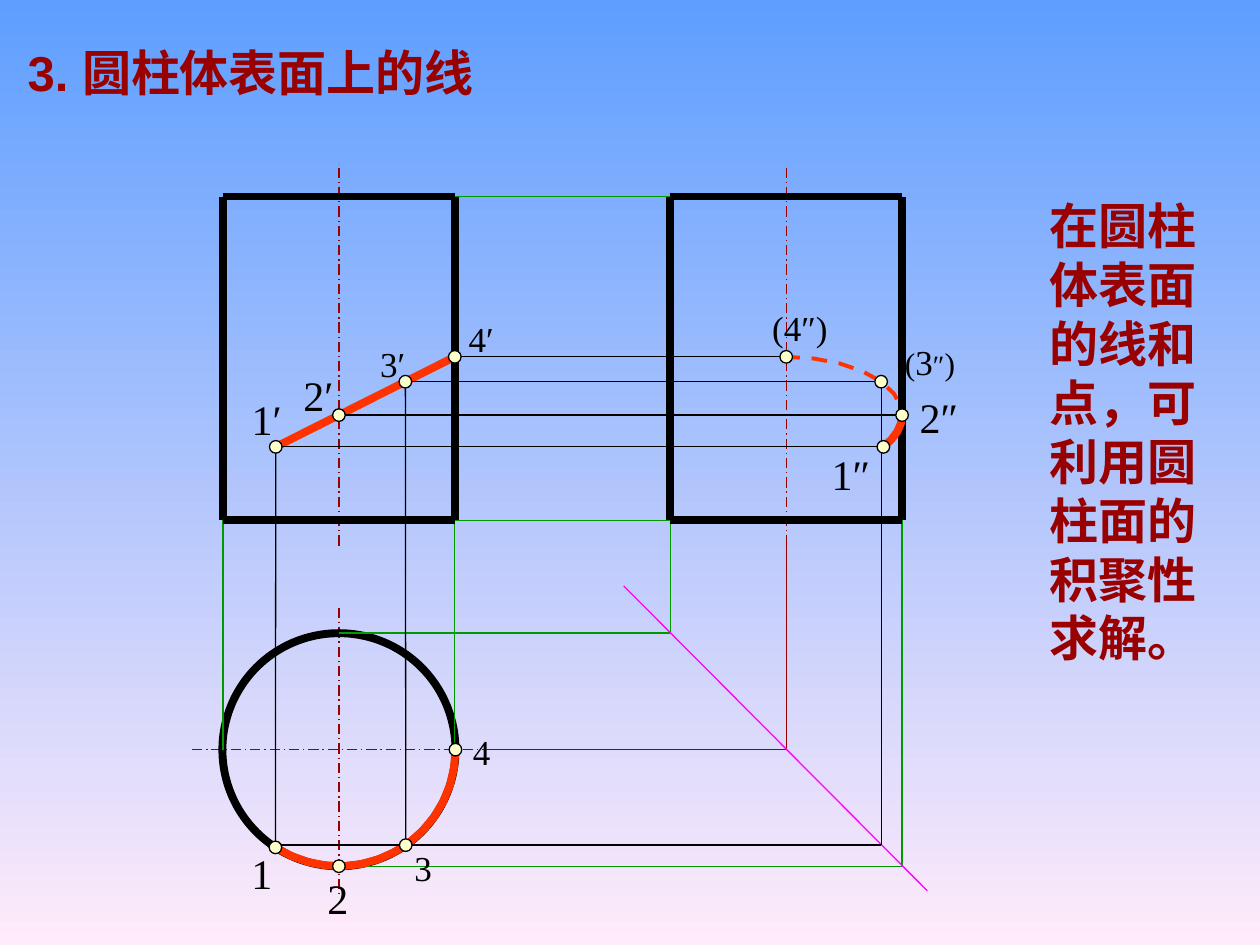
from math import cos, radians, sin

from lxml import etree
from pptx import Presentation
from pptx.dml.color import RGBColor
from pptx.enum.dml import MSO_LINE
from pptx.enum.shapes import MSO_CONNECTOR, MSO_SHAPE
from pptx.enum.text import MSO_ANCHOR, PP_ALIGN
from pptx.oxml.ns import qn
from pptx.util import Inches, Pt

STRAIGHT, OVAL = MSO_CONNECTOR.STRAIGHT, MSO_SHAPE.OVAL
AXIS, DASH = MSO_LINE.LONG_DASH_DOT, MSO_LINE.DASH
MIDDLE, LEFT = MSO_ANCHOR.MIDDLE, PP_ALIGN.LEFT
BLACK, RED, GREEN, BROWN = "000000", "FF3300", "009900", "990000"
MAGENTA, CREAM = "FF00FF", "FFFFCC"
THIN, THICK = 0.75, 4.5
COLS, ROWS = 100, 75
SERIF, SANS, CJK = "Times New Roman", "Arial", "Noto Sans CJK SC"

FRONT = (17.7, 15.6, 18.4, 25.7)
SIDE = (53.2, 15.6, 18.4, 25.7)
TOP = (17.65, 50.25, 18.5, 18.5)
ANGLES = (123, 90, 55, 0)

FRONT_LABELS = [("1′", -2.9, -4.7, 24), ("2′", -3.8, -4.1, 24),
                ("3′", -3, -3.6, 20), ("4′", 0.1, -3.6, 20)]
SIDE_LABELS = [("1″", -5.1, -0.4, 24), ("2″", 0.4, -2.4, 24),
               ("(3″)", 0.9, -3.8, (18, 20, 16, 18)), ("(4″)", -2.1, -4.5, 20)]
TOP_LABELS = [("1", -2.9, -0.5, 24), ("2", -1.9, 0, 24),
              ("3", -0.3, -0.4, 20), ("4", 0.4, -2, 20)]


def grid(*values):
    """Turn grid units, a hundredth of the slide's width each, into lengths."""
    return [Inches(v * 10 / COLS) for v in values]


def rgb(color):
    """Turn a hex string into a colour."""
    return RGBColor.from_string(color)


def set_line(shape, color, width, dash=None):
    """Give a shape or connector its outline."""
    shape.line.color.rgb = rgb(color)
    shape.line.width = Pt(width)
    if dash is not None:
        shape.line.dash_style = dash


def add_line(s, start, end, color=BLACK, width=THIN, dash=None):
    """Draw a straight line between two grid points."""
    c = s.shapes.add_connector(STRAIGHT, *grid(*start, *end))
    set_line(c, color, width, dash)
    etree.SubElement(c._element.spPr, qn("a:effectLst"))


def add_arc(s, locate, start, end, steps, width, dash=None):
    """Draw the red curve between two angles of a view."""
    angles = [start + (end - start) * i / steps for i in range(steps + 1)]
    first, *rest = [grid(*locate(a)) for a in angles]
    builder = s.shapes.build_freeform(*first)
    builder.add_line_segments(rest, close=False)
    sp = builder.convert_to_shape()
    sp.shadow.inherit = False
    sp.fill.background()
    set_line(sp, RED, width, dash)


def add_oval(s, box, width, fill=None):
    """Draw a circle in a box."""
    sp = s.shapes.add_shape(OVAL, *grid(*box))
    sp.shadow.inherit = False
    if fill:
        sp.fill.solid()
        sp.fill.fore_color.rgb = rgb(fill)
    else:
        sp.fill.background()
    set_line(sp, BLACK, width)


def set_ea_font(run, name):
    """Set the East Asian typeface of a run."""
    etree.SubElement(run._r.get_or_add_rPr(), qn("a:ea")).set("typeface", name)


def front_point(angle):
    """Locate a point of the curve in the front view."""
    x, y, w, h = FRONT
    u = cos(radians(angle))
    return x + w / 2 * (1 + u), y + h * (0.675 - 0.18 * u)


def side_point(angle):
    """Locate a point of the curve in the side view."""
    x, _, w, _ = SIDE
    return x + w / 2 * (1 + sin(radians(angle))), front_point(angle)[1]


def top_point(angle):
    """Locate a point of the curve in the top view."""
    x, y, w, h = TOP
    t = radians(angle)
    return x + w / 2 * (1 + cos(t)), y + h / 2 * (1 + sin(t))


def add_elevation(s, box):
    """Draw a cylinder's upright view: its axis and rectangle."""
    x, y, w, h = box
    mid, right, bottom = x + w / 2, x + w, y + h
    add_line(s, (mid, bottom + 2), (mid, y - 2.6), BROWN, THIN, AXIS)
    for edge in (y, bottom):
        add_line(s, (x, edge), (right, edge), BLACK, THICK)
    for edge in (x, right):
        add_line(s, (edge, y), (edge, bottom), BLACK, THICK)


def add_plan(s, box):
    """Draw the cylinder's top view: its axes and circle."""
    x, y, w, h = box
    cx, cy = x + w / 2, y + h / 2
    add_line(s, (x - 2.4, cy), (x + w + 3, cy), BROWN, THIN, AXIS)
    add_line(s, (cx, y - 2), (cx, y + h + 2.2), BROWN, THIN, AXIS)
    add_oval(s, box, THICK)


def add_construction(s, front, side, top):
    """Join the three views with outlines carried across the mitre line."""
    left, upper, w, h = front
    right, lower = left + w, upper + h
    near, far = side[0], side[0] + side[2]
    cx, cy = top[0] + top[2] / 2, top[1] + top[3] / 2
    mid, bottom = (near + far) / 2, top[1] + top[3]
    for x in (left, right):
        add_line(s, (x, cy), (x, lower), GREEN)
    for y in (upper, lower):
        add_line(s, (right, y), (near, y), GREEN)
    for x, y in ((near, top[1]), (far, bottom)):
        add_line(s, (cx, y), (x, y), GREEN)
        add_line(s, (x, y), (x, lower), GREEN)
    add_line(s, (mid, lower + 2), (mid, cy), BROWN)
    add_line(s, (right + 3, cy), (mid, cy), BROWN)
    add_line(s, (mid - 12.9, cy - 13), (mid + 11.2, cy + 11.2), MAGENTA)


def add_curve(s):
    """Draw the line on the cylinder in all three views."""
    first, second, _, last = ANGLES
    add_line(s, front_point(first), front_point(last), RED, THICK)
    add_arc(s, side_point, first, last, 9, 2.25, DASH)
    add_arc(s, side_point, first, second, 4, THICK)
    add_arc(s, top_point, first, last, 14, THICK)


def add_projections(s):
    """Draw the lines that carry points 1 to 4 between the views."""
    for a in ANGLES:
        add_line(s, front_point(a), side_point(a))
    for a in ANGLES[::2]:
        add_line(s, front_point(a), top_point(a))
    x, y = side_point(ANGLES[2])[0], top_point(ANGLES[2])[1]
    add_line(s, (top_point(ANGLES[0])[0], y), (x, y))
    add_line(s, (x, y), (x, side_point(ANGLES[2])[1]))


def add_points(s, locate, labels):
    """Mark and name the four points of one view."""
    for angle, (text, dx, dy, sizes) in zip(ANGLES, labels):
        x, y = locate(angle)
        add_oval(s, (x - 0.5, y - 0.5, 1, 1), THIN, CREAM)
        box = (x + dx, y + dy, 1.5 + 2 * len(text), 4.7)
        tf = s.shapes.add_textbox(*grid(*box)).text_frame
        tf.word_wrap = True
        p = tf.paragraphs[0]
        mixed = isinstance(sizes, tuple)
        for part, size in zip(text, sizes) if mixed else [(text, sizes)]:
            r = p.add_run()
            r.text, r.font.size = part, Pt(size)
        p.font.name, p.font.color.rgb = SERIF, rgb(BLACK)
        for r in p.runs:
            r.font.name = SERIF


def add_heading(s, box):
    """Fill the title placeholder."""
    sp = s.shapes.title
    sp.left, sp.top, sp.width, sp.height = grid(*box)
    tf = sp.text_frame
    tf.vertical_anchor = MIDDLE
    p = tf.paragraphs[0]
    p.alignment = LEFT
    for text, name in (("3. ", SANS), ("圆柱体表面上的线", CJK)):
        r = p.add_run()
        r.text, r.font.name = text, name
        r.font.size, r.font.bold, r.font.color.rgb = Pt(28), True, rgb(BROWN)
        set_ea_font(r, CJK)


def add_remark(s, box):
    """Write the remark beside the drawing."""
    tf = s.shapes.add_textbox(*grid(*box)).text_frame
    tf.word_wrap, tf.vertical_anchor = True, MIDDLE
    tf.margin_left, tf.margin_right = Inches(0.16), Inches(0.1)
    p = tf.paragraphs[0]
    p.line_spacing = Pt(33.7)
    r = p.add_run()
    r.text = "在圆柱体表面的线和点，可利用圆柱面的积聚性求解。"
    r.font.name, r.font.size, r.font.bold = SERIF, Pt(28), True
    r.font.color.rgb = rgb(BROWN)
    set_ea_font(r, CJK)


def main():
    """Build the slide and save it."""
    prs = Presentation()
    prs.slide_width, prs.slide_height = grid(COLS, ROWS)
    s = prs.slides.add_slide(prs.slide_layouts[5])
    fill = s.background.fill
    fill.gradient()
    fill.gradient_angle = 270
    for stop, color in zip(fill.gradient_stops, ("5E9EFF", "FFEBFA")):
        stop.color.rgb = rgb(color)
    add_heading(s, (1.2, 1.2, 96.5, 9))
    add_plan(s, TOP)
    add_construction(s, FRONT, SIDE, TOP)
    for box in (FRONT, SIDE):
        add_elevation(s, box)
    add_curve(s)
    add_projections(s)
    add_points(s, top_point, TOP_LABELS)
    add_points(s, side_point, SIDE_LABELS)
    add_points(s, front_point, FRONT_LABELS)
    add_remark(s, (81.7, 15, 14.7, 38.4))
    prs.save("out.pptx")


if __name__ == "__main__":
    main()
